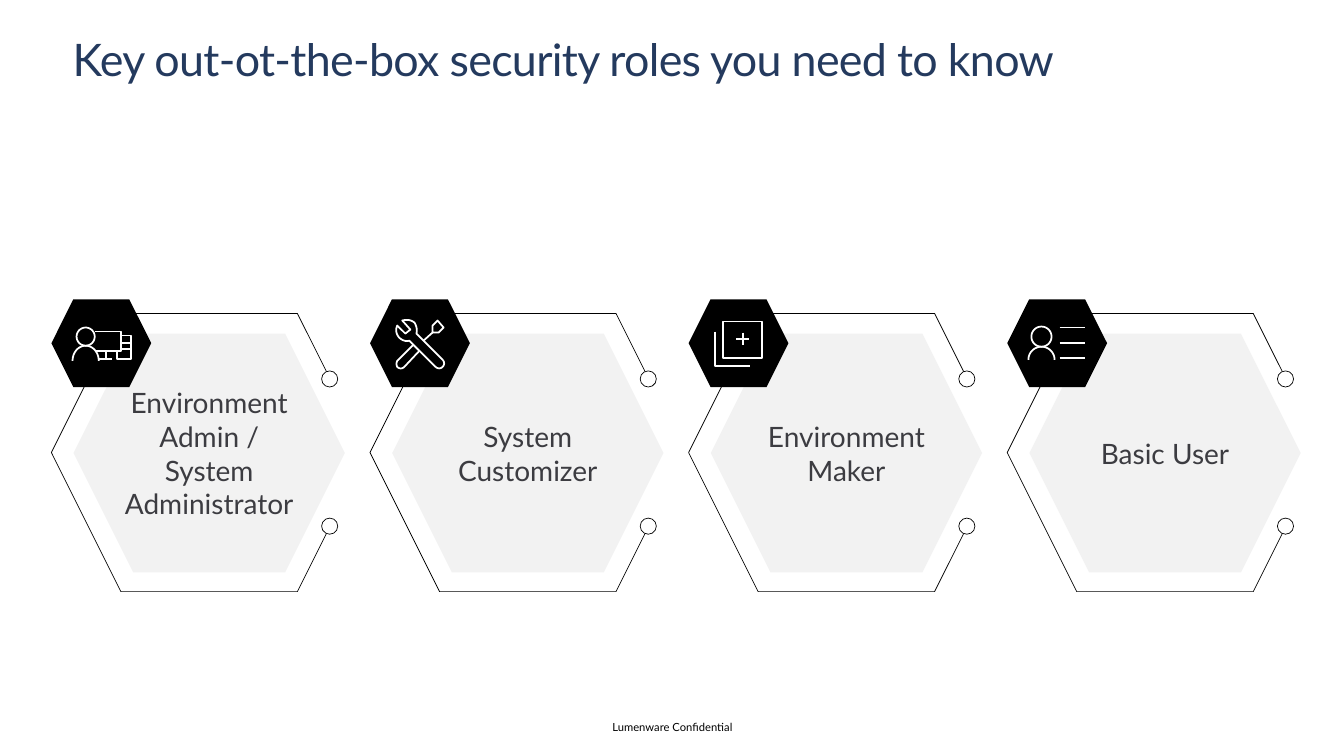
from math import cos, pi, sin

from pptx import Presentation
from pptx.dml.color import RGBColor
from pptx.enum.shapes import MSO_SHAPE
from pptx.enum.text import MSO_ANCHOR, PP_ALIGN
from pptx.util import Inches, Pt

# The slide is a grid of 1333 columns by 750 rows.
COLS, ROWS = 1333, 750
WIDTH, HEIGHT = Inches(13.33), Inches(7.5)
CARD_LEFT, CARD_TOP, CARD_STEP = 51, 297, 316


def color(hex_string):
    return RGBColor.from_string(hex_string)


def arc(cx, cy, rx, ry, turn=2 * pi, steps=40):
    """Points of an ellipse, counterclockwise from its right end."""
    return [(cx + rx * cos(turn * i / steps), cy - ry * sin(turn * i / steps))
            for i in range(steps + 1)]


def smooth(points, steps=10):
    """Expand each 6-tuple (two controls and an end) into a cubic curve."""
    out = []
    for point in points:
        if len(point) == 2:
            out.append(point)
            continue
        x0, y0 = out[-1]
        x1, y1, x2, y2, x3, y3 = point
        for i in range(1, steps + 1):
            t = i / steps
            a, b, c, d = (1 - t) ** 3, 3 * t * (1 - t) ** 2, 3 * t * t * (1 - t), t ** 3
            out.append((a * x0 + b * x1 + c * x2 + d * x3,
                        a * y0 + b * y1 + c * y2 + d * y3))
    return out


def person(r, base):
    """Head and shoulders; base is the row where the shoulders end."""
    return [arc(34, 37, r, r), arc(34, base, 13, base - 37 - r, pi)]


class Deck:
    font = "Lato"
    ink, paper, panel = "000000", "FFFFFF", "F2F2F2"
    title_color, label_color = "243A5E", "3C3C41"
    thin, icon_line = 0.5, 1.25

    def __init__(self):
        self.prs = Presentation()
        self.prs.slide_width, self.prs.slide_height = WIDTH, HEIGHT
        self.s = self.prs.slides.add_slide(self.prs.slide_layouts[6])

    def x(self, col):
        return round(col * WIDTH / COLS)

    def y(self, row):
        return round(row * HEIGHT / ROWS)

    def box(self, col, row, cols, rows):
        return self.x(col), self.y(row), self.x(cols), self.y(rows)

    def paint(self, sp, fill, line, width):
        sp.shadow.inherit = False
        if fill:
            sp.fill.solid()
            sp.fill.fore_color.rgb = color(fill)
        else:
            sp.fill.background()
        if line:
            sp.line.color.rgb = color(line)
            sp.line.width = Pt(width)
        else:
            sp.line.fill.background()
        return sp

    def shape(self, kind, at, fill, line=None):
        sp = self.s.shapes.add_shape(kind, *self.box(*at))
        return self.paint(sp, fill, line, self.thin)

    def outline(self, col, row, strokes, line, width, fill=None):
        """One freeform of several strokes, placed from (col, row)."""
        builder = None
        for stroke in strokes:
            pts = [(self.x(col + px), self.y(row + py)) for px, py in smooth(stroke)]
            if builder is None:
                builder = self.s.shapes.build_freeform(*pts[0], scale=1.0)
            else:
                builder.move_to(*pts[0])
            builder.add_line_segments(pts[1:], close=pts[0] == pts[-1])
        return self.paint(builder.convert_to_shape(), fill, line, width)

    def set_text(self, tf, paragraphs, size, hex_string, align, anchor, insets=(0, 0), wrap=True):
        """Fill a text frame; each paragraph is a list of lines."""
        tf.word_wrap = wrap
        tf.vertical_anchor = anchor
        tf.margin_left = tf.margin_right = self.x(insets[0])
        tf.margin_top = tf.margin_bottom = self.y(insets[1])
        for i, lines in enumerate(paragraphs):
            p = tf.add_paragraph() if i else tf.paragraphs[0]
            p.alignment = align
            for j, line in enumerate(lines):
                if j:
                    p.add_line_break()
                r = p.add_run()
                r.text = line
                r.font.name, r.font.size = self.font, Pt(size)
                r.font.color.rgb = color(hex_string)

    def title(self, text):
        sp = self.s.shapes.add_textbox(*self.box(72, 35, 1190, 50))
        self.paint(sp, self.paper, None, 0)
        self.set_text(sp.text_frame, [[text]], 32, self.title_color, PP_ALIGN.LEFT, MSO_ANCHOR.TOP)
        p = sp.text_frame.paragraphs[0]
        p.line_spacing = Pt(36.2)
        p.runs[0]._r.get_or_add_rPr().set("spc", "-50")

    def footer(self, text):
        sp = self.s.shapes.add_textbox(*self.box(442, 715, 450, 13))
        self.set_text(sp.text_frame, [[text]], 8, self.ink, PP_ALIGN.CENTER, MSO_ANCHOR.MIDDLE)

    def card(self, index, label, icon, wrap):
        col, row = CARD_LEFT + index * CARD_STEP, CARD_TOP
        frame = [(273, 232), (244, 290), (69, 290), (0, 152), (69, 14), (244, 14), (273, 72)]
        self.outline(col, row, [frame], self.ink, self.thin)
        sp = self.shape(MSO_SHAPE.HEXAGON, (col + 22, row + 34, 269, 237), self.panel)
        self.set_text(sp.text_frame, label, 20, self.label_color, PP_ALIGN.CENTER,
                      MSO_ANCHOR.MIDDLE, (10, 16), wrap)
        for dot_row in (71, 217):
            self.shape(MSO_SHAPE.OVAL, (col + 268, row + dot_row, 16, 16), self.paper, self.ink)
        self.shape(MSO_SHAPE.HEXAGON, (col, row, 99, 87), self.ink)
        for strokes, fill in icon:
            self.outline(col, row, strokes, self.paper, self.icon_line, fill)


ADMIN = [
    (person(9, 61), None),
    ([[(44, 51), (69, 51), (69, 32), (43, 32)],
      [(70, 36), (79, 36), (79, 59), (65, 59), (65, 52)],
      [(54, 59), (54, 52)], [(60, 59), (47, 59)],
      [(79, 43), (69, 43)], [(79, 49), (69, 49)]], None),
]
SCREWDRIVER = [
    [(27, 61), (26, 63, 26, 65, 27, 67), (29, 69, 32, 69, 34, 67), (49, 51), (43, 45), (27, 61)],
    [(73, 28), (67, 21), (62, 26), (62, 33), (68, 33), (73, 28)],
    [(62, 33), (53, 41)],
]
WRENCH = [[
    (44, 23), (40, 20, 36, 20, 32, 21), (40, 30), (35, 34), (27, 26),
    (25, 30, 26, 35, 29, 38), (32, 41, 36, 42, 39, 41), (65, 67),
    (67, 69, 70, 69, 72, 67), (74, 65, 74, 62, 72, 60), (46, 34),
    (47, 30, 46, 26, 44, 23),
]]
TOOLS = [(SCREWDRIVER, Deck.ink), (WRENCH, Deck.ink)]
NEW_PAGE = [
    ([[(34, 22), (73, 22), (73, 58), (34, 58), (34, 22)],
      [(26, 32), (26, 66), (61, 66)],
      [(54, 33), (54, 45)], [(60, 39), (47, 39)]], None),
]
PROFILE = [(person(10, 60) + [[(52, y), (77, y)] for y in (28, 43, 58)], None)]

ROLES = [
    ([["Environment", "Admin /"], ["System", "Administrator"]], ADMIN, False),
    ([["System Customizer"]], TOOLS, True),
    ([["Environment Maker"]], NEW_PAGE, True),
    ([["Basic User"]], PROFILE, True),
]


def main():
    deck = Deck()
    deck.title("Key out-ot-the-box security roles you need to know")
    for i, (label, icon, wrap) in enumerate(ROLES):
        deck.card(i, label, icon, wrap)
    deck.footer("Lumenware Confidential")
    deck.prs.save("out.pptx")


if __name__ == "__main__":
    main()
